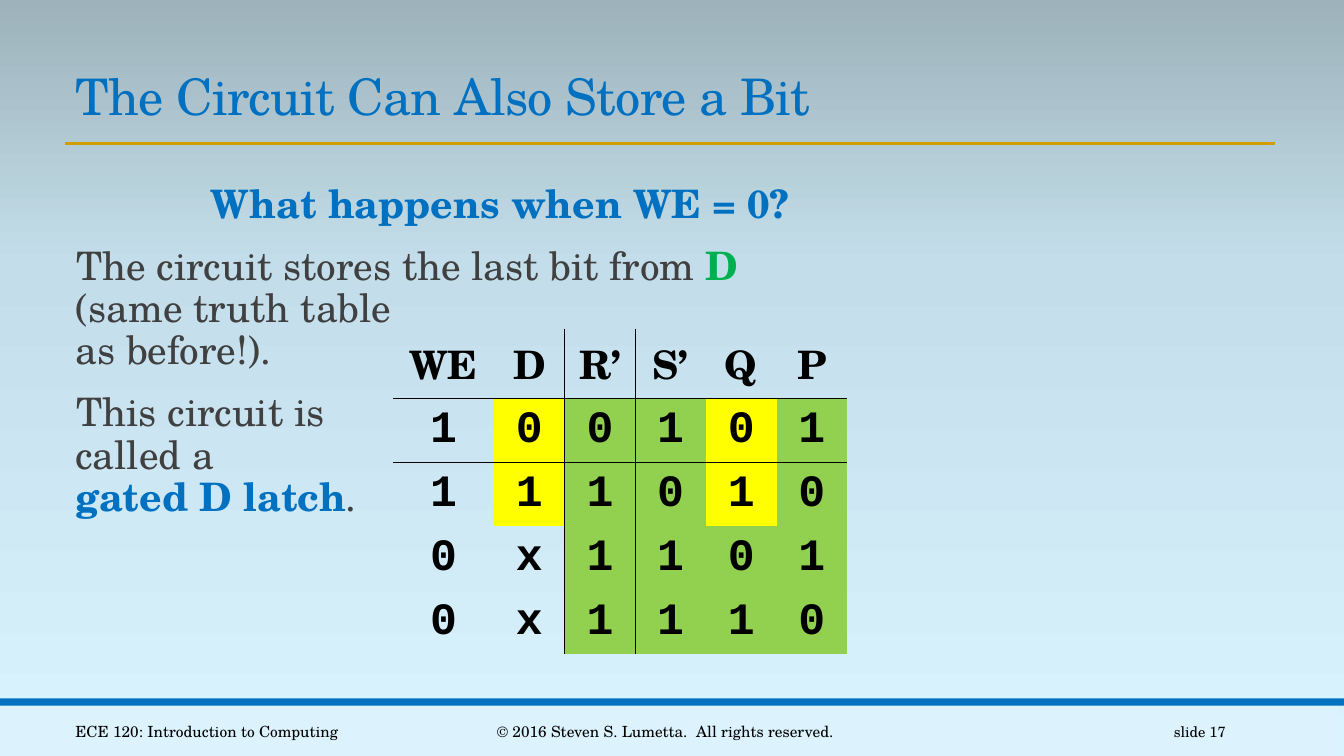
from copy import deepcopy
from dataclasses import dataclass

from pptx import Presentation
from pptx.dml.color import RGBColor
from pptx.enum import shapes, text
from pptx.oxml import ns, xmlchemy
from pptx.util import Cm, Pt

LEFT, MID, RIGHT = text.PP_ALIGN.LEFT, text.PP_ALIGN.CENTER, text.PP_ALIGN.RIGHT


@dataclass(frozen=True)
class Theme:
    face: str = "TeX Gyre Schola"
    mono: str = "Courier New"
    blue: str = "0070C0"
    gold: str = "D09E00"
    green: str = "00B050"
    gray: str = "404040"
    black: str = "000000"
    pale: str = "DCF3FD"
    lime: str = "92D050"
    yellow: str = "FFFF00"
    sky: tuple = ((0, "DAF4FF"), (0.65, "C3DEEA"), (1, "9DB2BA"))
    title: float = 36
    body: float = 28
    digit: float = 32
    foot: float = 11
    page: float = 10.5


THEME = Theme()


@dataclass(frozen=True)
class Box:
    left: float
    top: float
    width: float
    height: float

    def cm(self) -> tuple:
        return Cm(self.left), Cm(self.top), Cm(self.width), Cm(self.height)


@dataclass(frozen=True)
class Bar:
    box: Box
    color: str


@dataclass(frozen=True)
class Note:
    words: str
    box: Box
    align: text.PP_ALIGN
    size: float


@dataclass(frozen=True)
class Span:
    words: str
    color: str = THEME.gray
    bold: bool = False


BARS = (
    Bar(Box(-0.15, 17.78, 33.87, 1.27), THEME.pale),
    Bar(Box(0, 17.6, 33.87, 0.18), THEME.blue),
)
NOTES = (
    Note("ECE 120: Introduction to Computing",
         Box(1.65, 17.93, 8.26, 1.02), LEFT, THEME.foot),
    Note("© 2016 Steven S. Lumetta.  All rights reserved.",
         Box(10.24, 17.93, 13.06, 1.02), MID, THEME.foot),
    Note("slide 17", Box(27.51, 17.93, 3.63, 1.02), RIGHT, THEME.page),
)
BODY = (
    (Span("What happens when WE = 0?", THEME.blue, True),),
    (Span("The circuit stores the last bit from "),
     Span("D", THEME.green, True),
     Span("\n(same truth table\nas before!).")),
    (Span("This circuit is\ncalled a\n"),
     Span("gated D latch", THEME.blue, True),
     Span(".")),
)
HEAD = ("WE", "D", "R’", "S’", "Q", "P")
ROWS = ("100101", "111010", "0x1101", "0x1110")
INPUTS = 2
MARKED = {(row, HEAD.index(name)) for row in (1, 2) for name in "DQ"}


def style(font, size: float, color: str, bold: bool = False,
          face: str = THEME.face) -> None:
    font.name, font.size, font.bold = face, Pt(size), bold
    font.color.rgb = RGBColor.from_string(color)


def place(shape, box: Box) -> None:
    shape.left, shape.top, shape.width, shape.height = box.cm()


def add(parent, tag: str, **attrs: str):
    """Append a DrawingML child with the given attributes."""
    child = xmlchemy.OxmlElement(tag)
    for key, value in attrs.items():
        child.set(key, value)
    parent.append(child)
    return child


def paint_sky(slide) -> None:
    fill = slide.background.fill
    fill.gradient()
    fill.gradient_angle = 90
    stops = next(slide.element.iter(ns.qn("a:gsLst")))
    stops.append(deepcopy(stops[0]))
    for stop, (pos, color) in zip(fill.gradient_stops, THEME.sky):
        stop.position = pos
        stop.color.rgb = RGBColor.from_string(color)
        for tweak in list(stop.color._color._xClr):
            stop.color._color._xClr.remove(tweak)


def draw_bar(slide, bar: Bar) -> None:
    shape = slide.shapes.add_shape(shapes.MSO_SHAPE.RECTANGLE, *bar.box.cm())
    shape.shadow.inherit = False
    shape.fill.solid()
    shape.fill.fore_color.rgb = RGBColor.from_string(bar.color)
    shape.line.fill.background()


def draw_rule(slide) -> None:
    rule = slide.shapes.add_connector(
        shapes.MSO_CONNECTOR.STRAIGHT, Cm(1.65), Cm(3.61), Cm(32.13), Cm(3.61))
    rule.line.color.rgb = RGBColor.from_string(THEME.gold)
    rule.line.width = Pt(2)
    add(rule._element.spPr, "a:effectLst")


def draw_note(slide, note: Note) -> None:
    frame = slide.shapes.add_textbox(*note.box.cm()).text_frame
    frame.word_wrap = True
    frame.vertical_anchor = text.MSO_ANCHOR.MIDDLE
    frame.text = note.words
    para = frame.paragraphs[0]
    para.alignment = note.align
    style(para.runs[0].font, note.size, THEME.black)


def fill_title(slide) -> None:
    title = slide.shapes.title
    place(title, Box(1.65, 1.5, 30.5, 1.8))
    frame = title.text_frame
    frame.text = "The Circuit Can Also Store a Bit"
    frame.vertical_anchor = text.MSO_ANCHOR.BOTTOM
    frame.auto_size = text.MSO_AUTO_SIZE.NONE
    para = frame.paragraphs[0]
    para.alignment, para.line_spacing = LEFT, 0.85
    run = para.runs[0]
    style(run.font, THEME.title, THEME.blue)
    run._r.get_or_add_rPr().set("spc", "-50")


def fill_para(para, spans: tuple) -> None:
    """Write the spans, with a line break at each newline."""
    for span in spans:
        for num, part in enumerate(span.words.split("\n")):
            if num:
                para.add_line_break()
            if part:
                run = para.add_run()
                run.text = part
                style(run.font, THEME.body, span.color, span.bold)
    look = para.runs[0]._r.rPr
    for gap in para._p.findall(ns.qn("a:br")):
        gap.append(deepcopy(look))


def fill_body(slide) -> None:
    body = slide.placeholders[1]
    place(body, Box(1.65, 4.52, 21.64, 11.79))
    frame = body.text_frame
    frame.auto_size = text.MSO_AUTO_SIZE.NONE
    frame.margin_left = frame.margin_right = 0
    for num, spans in enumerate(BODY):
        para = frame.add_paragraph() if num else frame.paragraphs[0]
        para.alignment = LEFT if num else MID
        para.line_spacing = 0.9
        para.space_before, para.space_after = Pt(12 if num else 0), Pt(2)
        props = para._p.get_or_add_pPr()
        props.set("marL", str(Cm(0.25)))
        props.set("indent", str(-Cm(0.25)))
        add(add(props, "a:buClr"), "a:srgbClr", val=THEME.blue)
        add(props, "a:buChar", char=" ")
        fill_para(para, spans)


def edge(cell, side: str) -> None:
    line = xmlchemy.OxmlElement(f"a:ln{side}")
    line.set("w", str(Pt(1)))
    add(add(line, "a:solidFill"), "a:srgbClr", val=THEME.black)
    props = cell._tc.get_or_add_tcPr()
    props.insert(len(props.findall("*")) - 1, line)


def fill_cell(cell, word: str, row: int, col: int) -> None:
    cell.text = word
    cell.vertical_anchor = text.MSO_ANCHOR.MIDDLE
    para = cell.text_frame.paragraphs[0]
    para.alignment = MID
    size, face = (THEME.digit, THEME.mono) if row else (THEME.body, THEME.face)
    style(para.runs[0].font, size, THEME.black, True, face)
    if row and (col >= INPUTS or (row, col) in MARKED):
        cell.fill.solid()
        shade = THEME.yellow if (row, col) in MARKED else THEME.lime
        cell.fill.fore_color.rgb = RGBColor.from_string(shade)
    else:
        cell.fill.background()
    sides = {"L": col == INPUTS, "R": col == INPUTS - 1,
             "T": row == 1, "B": row == 0}
    for side, shown in sides.items():
        if shown:
            edge(cell, side)


def draw_table(slide) -> None:
    grid = (HEAD, *ROWS)
    table = slide.shapes.add_table(
        len(grid), len(HEAD), *Box(9.91, 8.28, 11.44, 7.88).cm()).table
    table.first_row = table.horz_banding = False
    plain = "{2D5ABB26-0587-4C30-8999-92F81FD0307C}"
    table._tbl.tblPr.find(ns.qn("a:tableStyleId")).text = plain
    for num, col in enumerate(table.columns):
        col.width = Cm(1.78 if num else 2.54)
    for num, row in enumerate(table.rows):
        row.height = Cm(1.53 if num else 1.76)
        for col, word in enumerate(grid[num]):
            fill_cell(table.cell(num, col), word, num, col)


def main() -> None:
    deck = Presentation()
    deck.slide_width, deck.slide_height = Cm(33.87), Cm(19.05)
    slide = deck.slides.add_slide(deck.slide_layouts[1])
    paint_sky(slide)
    for bar in BARS:
        draw_bar(slide, bar)
    draw_rule(slide)
    fill_title(slide)
    fill_body(slide)
    for note in NOTES:
        draw_note(slide, note)
    draw_table(slide)
    deck.save("out.pptx")


if __name__ == "__main__":
    main()
